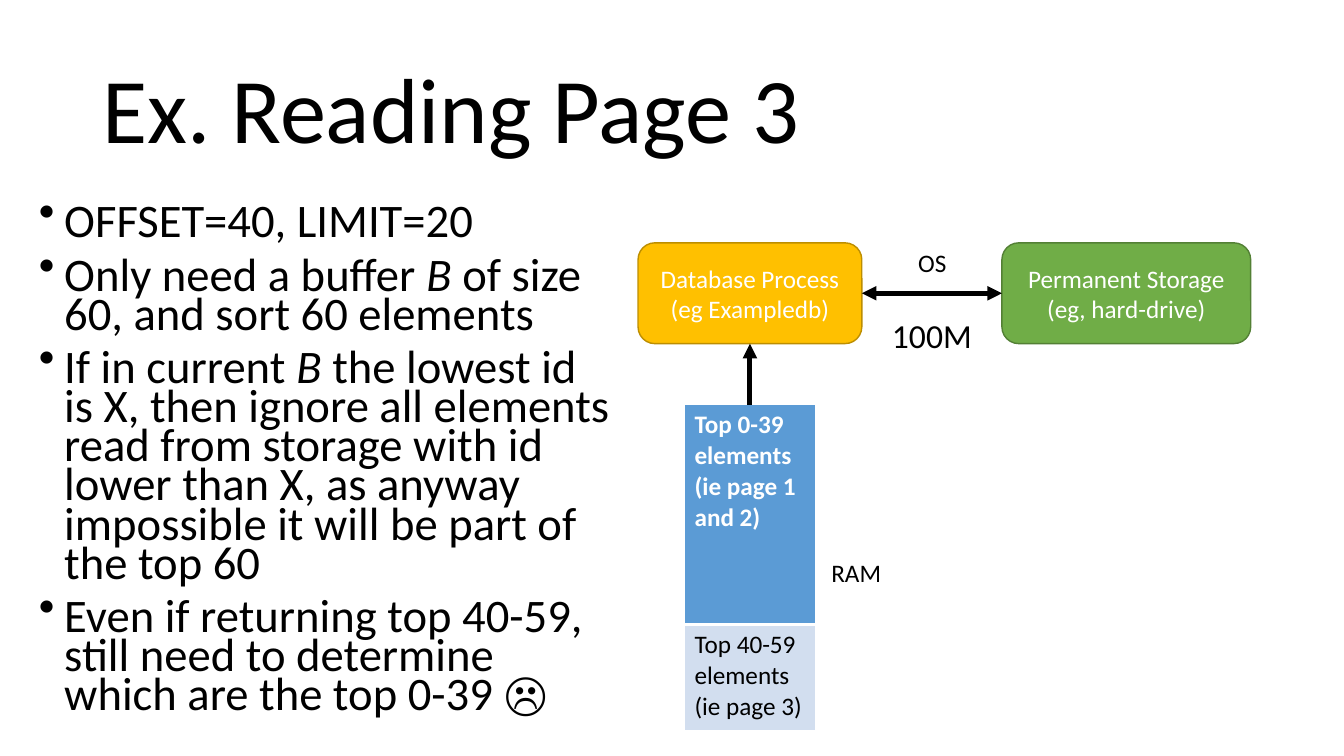
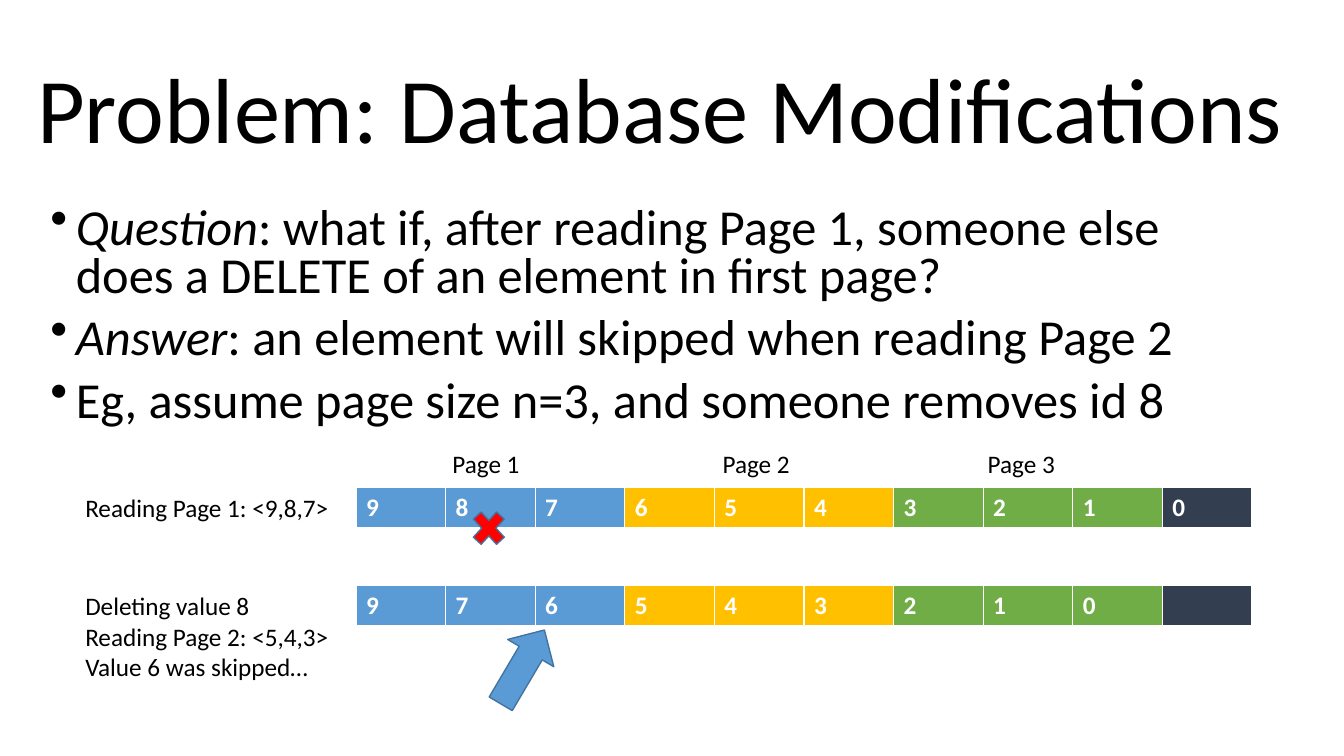
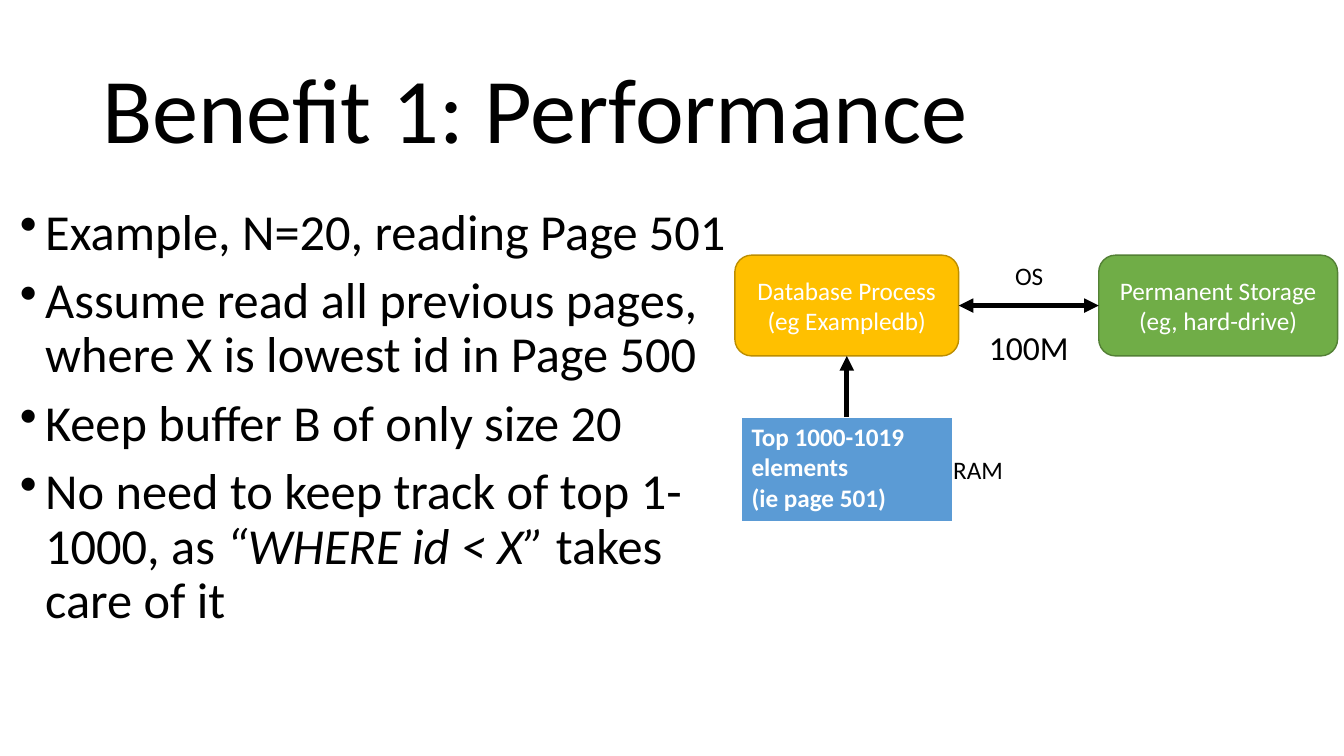
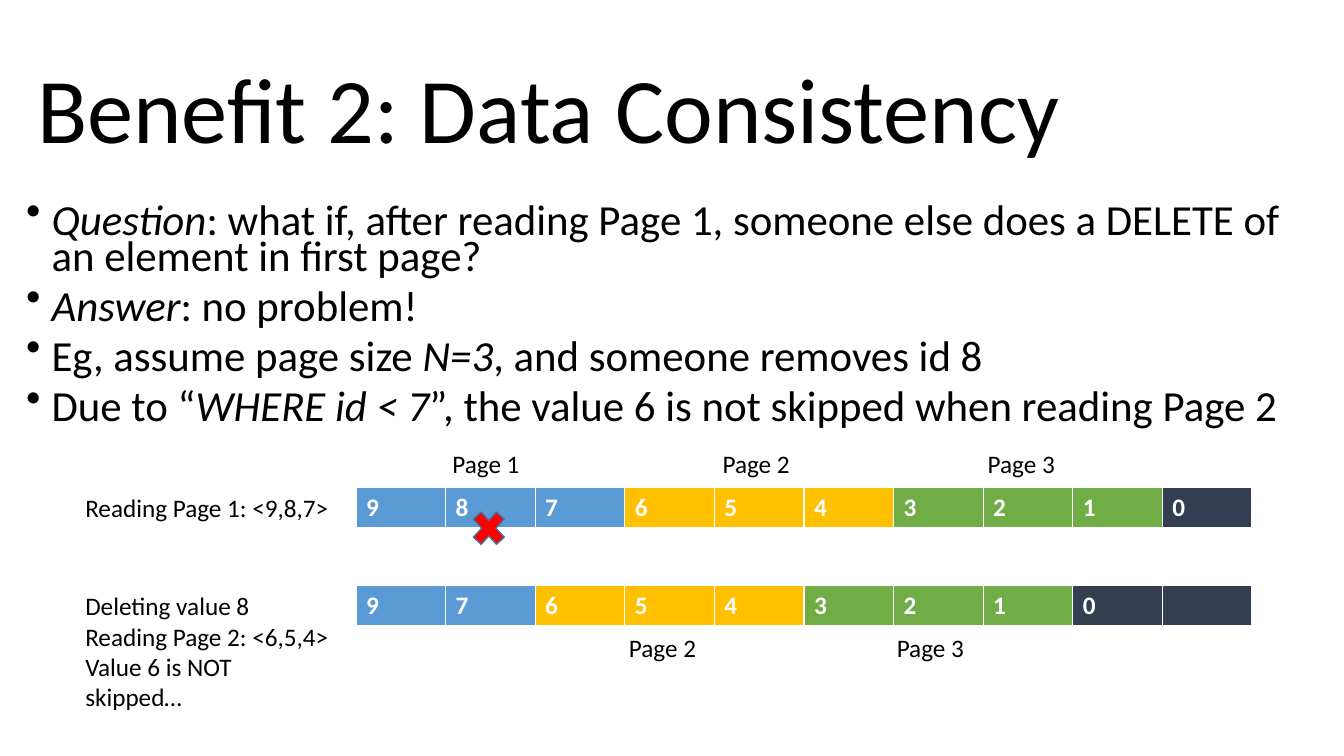
import lxml.etree
import pptx
import pptx.dml.color
import pptx.enum.shapes
import pptx.enum.text
import pptx.oxml.ns
import pptx.util

Cm, Pt = pptx.util.Cm, pptx.util.Pt
SHAPES = pptx.enum.shapes.MSO_SHAPE
MIDDLE = pptx.enum.text.MSO_ANCHOR.MIDDLE
CENTER = pptx.enum.text.PP_ALIGN.CENTER

# Shared style
FONT = "Calibri"
BLACK, WHITE, RED = "000000", "FFFFFF", "FF0000"
BLUE, PALE_BLUE, BLUE_EDGE = "5B9BD5", "D2DEEF", "43739E"
GOLD, GOLD_EDGE = "FFC000", "BD8E00"
GREEN, GREEN_EDGE = "70AD47", "538035"
NAVY = "333F50"
PAGE_COLORS = [BLUE, GOLD, GREEN, NAVY]


def rgb(value):
    return pptx.dml.color.RGBColor.from_string(value)


def sub(parent, tag, **attributes):
    return lxml.etree.SubElement(parent, pptx.oxml.ns.qn(tag), attributes)


def write(frame, text, size=18, color=BLACK, bold=False, align=None,
          spacing=None, before=None, bullet=False):
    """Fill a text frame: a line per paragraph, asterisks around italics."""
    for number, line in enumerate(text.split("\n")):
        paragraph = frame.paragraphs[0] if number == 0 else frame.add_paragraph()
        paragraph.alignment = align
        if spacing:
            paragraph.line_spacing = spacing
        if before:
            paragraph.space_before = Pt(before)
        if bullet:
            properties = paragraph._p.get_or_add_pPr()
            properties.set("marL", str(Cm(0.64)))
            properties.set("indent", str(-Cm(0.64)))
            sub(properties, "a:buChar", char="•")
        for position, part in enumerate(line.split("*")):
            if not part:
                continue
            run = paragraph.add_run()
            run.text = part
            run.font.name = FONT
            run.font.size = Pt(size)
            run.font.bold = bold
            run.font.italic = position % 2 == 1
            run.font.color.rgb = rgb(color)


class Deck:
    def __init__(self):
        self.file = pptx.Presentation()
        self.file.slide_width, self.file.slide_height = Cm(33.87), Cm(19.05)
        self.shapes = None

    # Text
    def start(self, title, left=2.33, width=29.21):
        self.shapes = self.file.slides.add_slide(self.file.slide_layouts[6]).shapes
        frame = self.box(left, 1.02, width, 3.68)
        frame.vertical_anchor = MIDDLE
        write(frame, title, size=66, spacing=0.9)

    def box(self, left, top, width, height):
        frame = self.shapes.add_textbox(Cm(left), Cm(top), Cm(width), Cm(height)).text_frame
        frame.word_wrap = True
        return frame

    def bullets(self, left, width, height, text, size=36, spacing=0.9):
        write(self.box(left, 5.08, width, height), text, size=size,
              spacing=spacing, before=10, bullet=True)

    def label(self, left, top, width, text, size=18, height=1.02):
        frame = self.box(left, top, width, height)
        frame.word_wrap = False
        frame.auto_size = pptx.enum.text.MSO_AUTO_SIZE.SHAPE_TO_FIT_TEXT
        write(frame, text, size=size)

    # Shapes and arrows
    def shape(self, preset, left, top, width, height, fill, edge, text=""):
        shape = self.shapes.add_shape(preset, Cm(left), Cm(top), Cm(width), Cm(height))
        shape.shadow.inherit = False
        shape.fill.solid()
        shape.fill.fore_color.rgb = rgb(fill)
        shape.line.color.rgb = rgb(edge)
        shape.line.width = Pt(1)
        if text:
            shape.text_frame.vertical_anchor = MIDDLE
            write(shape.text_frame, text, color=WHITE, align=CENTER)
        return shape

    def arrow(self, start, end, both=False):
        line = self.shapes.add_connector(
            pptx.enum.shapes.MSO_CONNECTOR.STRAIGHT,
            *[Cm(length) for length in (*start, *end)])
        line.line.color.rgb = rgb(BLACK)
        line.line.width = Pt(3.5)
        outline = line.line._get_or_add_ln()
        for tag in ["a:headEnd", "a:tailEnd"] if both else ["a:tailEnd"]:
            sub(outline, tag, type="triangle")
        sub(line._element.spPr, "a:effectLst")
        return line

    # Tables
    def table(self, left, top, width, heights, rows):
        """Each row is a list of (text, fill, text color, bold)."""
        columns = len(rows[0])
        table = self.shapes.add_table(len(rows), columns, Cm(left), Cm(top),
                                      Cm(width), Cm(sum(heights))).table
        table.horz_banding = False
        for column in table.columns:
            column.width = Cm(width / columns)
        for r, (height, row) in enumerate(zip(heights, rows)):
            table.rows[r].height = Cm(height)
            for c, (text, fill, color, bold) in enumerate(row):
                cell = table.cell(r, c)
                self.borders(cell, header=r == 0)
                cell.fill.solid()
                cell.fill.fore_color.rgb = rgb(fill)
                write(cell.text_frame, text, color=color, bold=bold)

    def borders(self, cell, header):
        widths = {"a:lnL": 1, "a:lnR": 1, "a:lnT": 1 if header else 3,
                  "a:lnB": 3 if header else 1}
        for tag, width in widths.items():
            edge = sub(cell._tc.get_or_add_tcPr(), tag, w=str(Pt(width)))
            sub(sub(edge, "a:solidFill"), "a:srgbClr", val=WHITE)

    # Database, storage and the buffer in memory
    def storage_diagram(self, left, top, storage_width, buffer_width, heights, buffer, ram):
        process = self.shape(SHAPES.ROUNDED_RECTANGLE, left, top, 5.64, 2.54, GOLD,
                             GOLD_EDGE, "Database Process\n(eg Exampledb)")
        storage = self.shape(SHAPES.ROUNDED_RECTANGLE, left + 9.17, top, storage_width, 2.54,
                             GREEN, GREEN_EDGE, "Permanent Storage\n(eg, hard-drive)")
        middle = top + 1.27
        link = self.arrow((left + 5.64, middle), (left + 9.17, middle), both=True)
        link.begin_connect(process, 3)
        link.end_connect(storage, 1)
        self.label(left + 6.81, top, 1.22, "OS")
        self.label(left + 6.15, top + 1.68, 2.54, "100M", size=24, height=1.27)

        center, bottom = left + 2.82, top + 2.54
        buffer_top = bottom + 1.54
        self.table(center - buffer_width / 2, buffer_top, buffer_width, heights, buffer)
        feed = self.arrow((center, buffer_top), (center, bottom))
        feed.end_connect(process, 2)
        self.label(*ram, 1.78, "RAM")

    # Values before and after the delete
    def value_row(self, top, values, page_sizes):
        fills = [color for color, size in zip(PAGE_COLORS, page_sizes) for _ in range(size)]
        cells = [(value, fill, WHITE, True) for value, fill in zip(values, fills)]
        self.table(8.97, top, 22.58, [1.04], [cells])

    def delete_diagram(self, page_sizes, outcome):
        self.value_row(12.29, "9876543210", [3, 3, 3, 1])
        self.value_row(14.76, [*"976543210", ""], page_sizes)
        self.label(1.9, 12.29, 6.73, "Reading Page 1: <9,8,7>")
        self.label(1.9, 14.76, 6.73, "Deleting value 8\n" + outcome, height=2.57)
        self.shape(SHAPES.MATH_MULTIPLY, 11.76, 12.7, 1.12, 1.22, RED, BLUE_EDGE)
        self.page_labels(11.16, {1: 11.15, 2: 17.96, 3: 24.64})

    def page_labels(self, top, lefts):
        for page, left in lefts.items():
            self.label(left, top, 2.24, f"Page {page}")


def main():
    deck = Deck()

    # Reading page 3
    deck.start("Ex. Reading Page 3")
    deck.bullets(0.73, 15.01, 13.59, (
        "OFFSET=40, LIMIT=20\n"
        "Only need a buffer *B* of size 60, and sort 60 elements\n"
        "If in current *B* the lowest id is X, then ignore all elements read from storage "
        "with id lower than X, as anyway impossible it will be part of the top 60\n"
        "Even if returning top 40-59, still need to determine which are the top 0-39 ☹"),
        size=33.3, spacing=0.7)
    deck.storage_diagram(
        16.08, 6.12, 6.27, 3.3, [5.54, 2.67],
        [[("Top 0-39 elements\n(ie page 1 and 2)", BLUE, WHITE, True)],
         [("Top 40-59 elements\n(ie page 3)", PALE_BLUE, BLACK, False)]],
        ram=(20.7, 13.92))

    # Database modifications
    deck.start("Problem: Database Modifications", left=0.69, width=32.56)
    deck.bullets(1.02, 30.51, 6.43, (
        "*Question*: what if, after reading Page 1, someone else does a DELETE "
        "of an element in first page?\n"
        "*Answer*: an element will skipped when reading Page 2\n"
        "Eg, assume page size n=3, and someone removes id 8"), spacing=0.8)
    deck.delete_diagram([3, 3, 3, 1], "Reading Page 2: <5,4,3>\nValue 6 was skipped…")
    skipped = deck.shape(SHAPES.RIGHT_ARROW, 12.09, 16.13, 2.16, 1.35, BLUE, BLUE_EDGE)
    skipped.rotation = 300.6

    # Performance
    deck.start("Benefit 1: Performance")
    deck.bullets(0.25, 18.44, 13.36, (
        "Example, N=20, reading Page 501\n"
        "Assume read all previous pages, where X is lowest id in Page 500\n"
        "Keep buffer B of only size 20\n"
        "No need to keep track of top 1-1000, as *“WHERE id < X”* takes care of it"))
    deck.storage_diagram(
        18.52, 6.43, 6.02, 5.31, [2.67],
        [[("Top 1000-1019 elements\n(ie page 501)", BLUE, WHITE, True)]],
        ram=(23.77, 11.33))

    # Data consistency
    deck.start("Benefit 2: Data Consistency", left=0.69, width=32.56)
    deck.bullets(0.41, 33.17, 6.43, (
        "*Question*: what if, after reading Page 1, someone else does a DELETE "
        "of an element in first page?\n"
        "*Answer*: no problem!\n"
        "Eg, assume page size *N=3*, and someone removes id 8\n"
        "Due to “*WHERE id < 7*”, the value 6 is not skipped when reading Page 2"),
        size=30.6, spacing=0.7)
    deck.delete_diagram([2, 3, 3, 2], "Reading Page 2: <6,5,4>\nValue 6 is NOT skipped…")
    deck.page_labels(15.82, {2: 15.6, 3: 22.35})

    deck.file.save("out.pptx")


if __name__ == "__main__":
    main()
